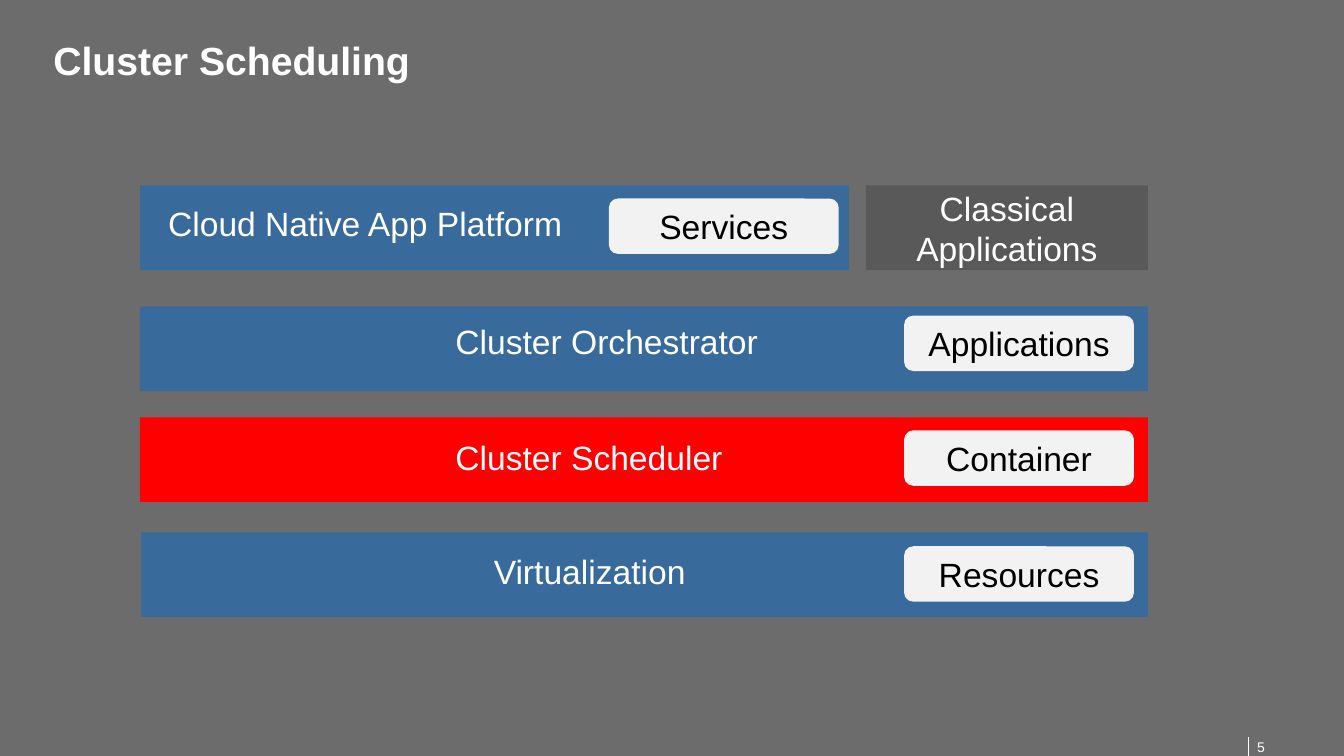
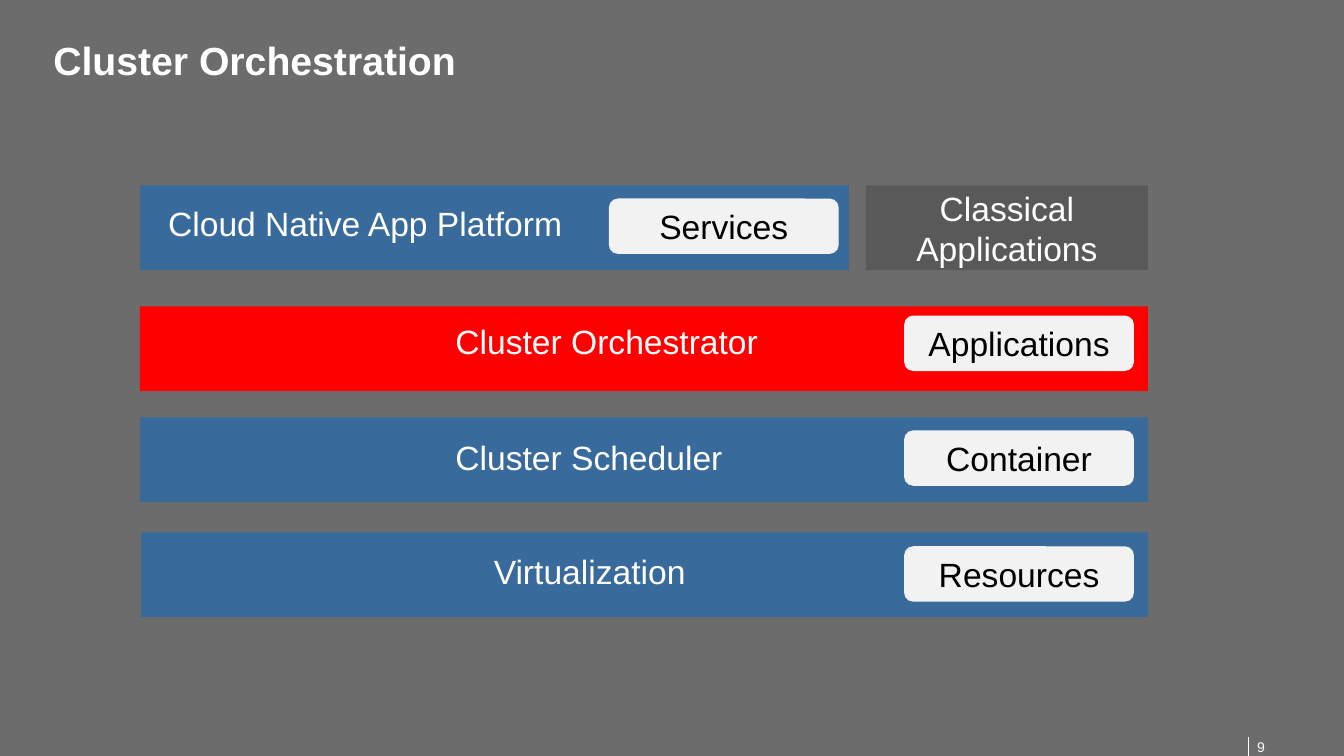
from lxml import etree
from pptx import Presentation
from pptx.dml.color import RGBColor
from pptx.enum import shapes, text
from pptx.oxml.ns import qn
from pptx.util import Pt

# Content: title, page number, highlighted layer
SLIDES = [
    ("Cluster Scheduling", "5", "Cluster Scheduler"),
    ("Cluster Orchestration", "9", "Cluster Orchestrator"),
]
# Layer: label, label left, label top, chip, chip top, bar left, bar top, bar right
LAYERS = [
    ("Cloud Native App Platform", 113, 141.1, "Services", 141.8, 100, 132.5, 606.3),
    ("Cluster Orchestrator", 318.2, 225.4, "Applications", 225.4, 100, 218.9, 820),
    ("Cluster Scheduler", 318.2, 308.9, "Container", 307.4, 100, 298.1, 820),
    ("Virtualization", 345.6, 390.2, "Resources", 390.2, 100.8, 380.2, 820),
]
SIDE = "Classical Applications"

# Shared style
FONT = "Arial"
BACK, BLUE, RED, DARK = "6C6C6C", "386B9B", "FF0000", "595959"
PALE, WHITE, BLACK = "F2F2F2", "FFFFFF", "000000"
BAR_H, CHIP_W, CHIP_H = 60.5, 164.2, 39.6
LABEL_W, LABEL_H = 309, 36
SIDE_X, SIDE_W = 618.5, 201.5
RECT, ROUND = shapes.MSO_SHAPE.RECTANGLE, shapes.MSO_SHAPE.ROUNDED_RECTANGLE
TOP, MID, LOW = text.MSO_ANCHOR.TOP, text.MSO_ANCHOR.MIDDLE, text.MSO_ANCHOR.BOTTOM
LEFT, MIDDLE = text.PP_ALIGN.LEFT, text.PP_ALIGN.CENTER


def rgb(hex):
    return RGBColor.from_string(hex)


def write(shape, words, size=24, color=WHITE, bold=False, align=LEFT,
          anchor=TOP, inset=7.2, line=None):
    frame = shape.text_frame
    frame.word_wrap = True
    frame.vertical_anchor = anchor
    frame.margin_left = frame.margin_right = Pt(inset)
    frame.margin_top = frame.margin_bottom = Pt(3.6)
    para = frame.paragraphs[0]
    para.alignment = align
    if line:
        para.line_spacing = Pt(line)
    run = para.add_run()
    run.text = words
    font = run.font
    font.name, font.size, font.bold = FONT, Pt(size), bold
    font.color.rgb = rgb(color)


def label(slide, words, x, y, w, h, **style):
    write(slide.shapes.add_textbox(Pt(x), Pt(y), Pt(w), Pt(h)), words, **style)


def block(slide, kind, x, y, w, h, fill, words=None, color=WHITE):
    shape = slide.shapes.add_shape(kind, Pt(x), Pt(y), Pt(w), Pt(h))
    shape.shadow.inherit = False
    shape.fill.solid()
    shape.fill.fore_color.rgb = rgb(fill)
    shape.line.fill.background()
    if words:
        write(shape, words, color=color, align=MIDDLE, anchor=MID)


def frame(slide, title, page):
    back = slide.background.fill
    back.solid()
    back.fore_color.rgb = rgb(BACK)
    # Footer rule and page number
    rule = slide.shapes.add_connector(
        shapes.MSO_CONNECTOR.STRAIGHT, Pt(892), Pt(526.3), Pt(892), Pt(540))
    rule.line.color.rgb = rgb(WHITE)
    rule.line.width = Pt(1)
    etree.SubElement(rule.element.spPr, qn("a:effectLst"))
    label(slide, page, 898, 514, 56, 28.8, size=10, anchor=LOW, inset=0)
    # Title
    label(slide, title, 31, 26, 861, 78.5, size=28, bold=True, line=30)


def stack(slide, hot):
    # Bars
    for name, _, _, _, _, x, y, right in LAYERS:
        block(slide, RECT, x, y, right - x, BAR_H, RED if name == hot else BLUE)
    # Labels and chips
    for name, x, y, chip, top, _, _, right in LAYERS:
        label(slide, name, x, y, LABEL_W, LABEL_H)
        gap = 7.2 if right < 820 else 10
        block(slide, ROUND, right - gap - CHIP_W, top, CHIP_W, CHIP_H,
              PALE, chip, BLACK)
    # Side box level with the first bar
    block(slide, RECT, SIDE_X, LAYERS[0][6], SIDE_W, BAR_H, DARK, SIDE)


def main():
    deck = Presentation()
    deck.slide_width, deck.slide_height = Pt(960), Pt(540)
    for title, page, hot in SLIDES:
        slide = deck.slides.add_slide(deck.slide_layouts[6])
        frame(slide, title, page)
        stack(slide, hot)
    deck.save("out.pptx")


if __name__ == "__main__":
    main()
